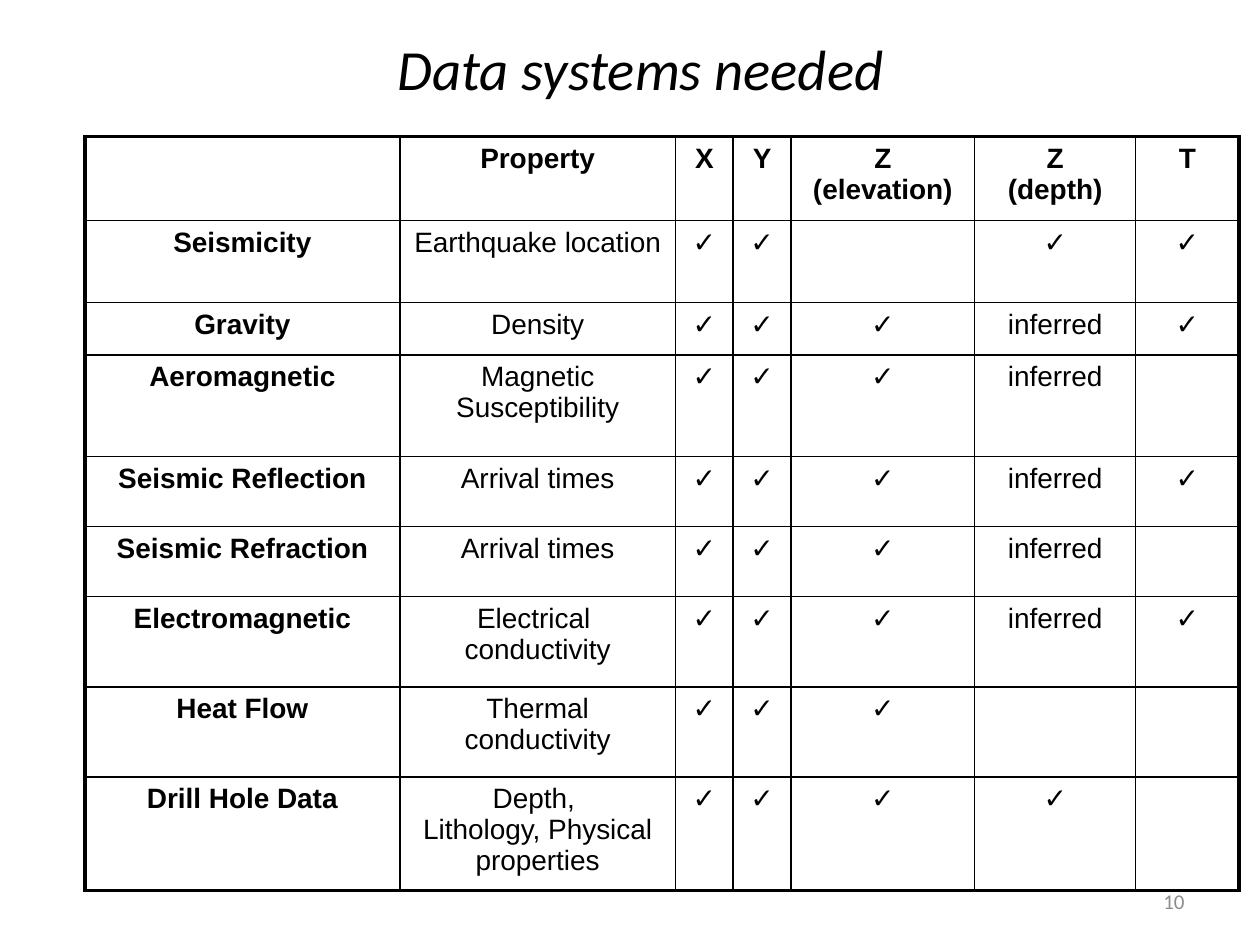
from dataclasses import dataclass

from lxml.etree import SubElement
from pptx import Presentation
from pptx.dml.color import RGBColor
from pptx.enum.text import MSO_ANCHOR as Anchor, PP_ALIGN as Align
from pptx.oxml.ns import qn
from pptx.slide import Slide
from pptx.table import _Cell as Cell
from pptx.util import Pt

COLORS = {"ink": "000000", "page_number": "8C8C8C"}
CHECK = "✓"
INNER_WIDTH, OUTER_WIDTH = 1, 2.25
COLUMN_WIDTHS = [180, 157.5, 33, 33, 105, 92, 59]
HEADER = ["", "Property", "X", "Y", "Z\n(elevation)", "Z\n(depth)", "T"]


@dataclass
class Label:
    text: str
    left: float
    top: float
    width: float
    height: float
    size: float
    color: str
    align: Align
    italic: bool = False


@dataclass
class DataSystem:
    name: str
    measured: str
    height: float
    elevation: str = CHECK
    depth: str = "inferred"
    time: str = ""

    def cells(self) -> list[str]:
        """Return the texts of this system's table row."""
        return [self.name, self.measured, CHECK, CHECK, self.elevation, self.depth, self.time]


LABELS = [
    Label("Data systems needed", 60, 24, 612, 30, 32.4, "ink", Align.CENTER, True),
    Label("10", 516, 500.5, 168, 28.5, 12, "page_number", Align.RIGHT),
]
HEADER_HEIGHT = 48
SYSTEMS = [
    DataSystem("Seismicity", "Earthquake location", 47, "", CHECK, CHECK),
    DataSystem("Gravity", "Density", 30, time=CHECK),
    DataSystem("Aeromagnetic", "Magnetic\nSusceptibility", 58),
    DataSystem("Seismic Reflection", "Arrival times", 40, time=CHECK),
    DataSystem("Seismic Refraction", "Arrival times", 40),
    DataSystem("Electromagnetic", "Electrical \nconductivity", 51.5, time=CHECK),
    DataSystem("Heat Flow", "Thermal\nconductivity", 51.5, depth=""),
    DataSystem("Drill Hole Data", "Depth, \nLithology, Physical properties", 65, depth=CHECK),
]


def color_of(name: str) -> RGBColor:
    """Look up a named colour."""
    return RGBColor.from_string(COLORS[name])


def add_label(slide: Slide, label: Label) -> None:
    """Add one line of text in its own box."""
    shape = slide.shapes.add_textbox(
        Pt(label.left), Pt(label.top), Pt(label.width), Pt(label.height)
    )
    text_frame = shape.text_frame
    text_frame.word_wrap = True
    text_frame.vertical_anchor = Anchor.MIDDLE
    text_frame.text = label.text
    paragraph = text_frame.paragraphs[0]
    paragraph.alignment = label.align
    font = paragraph.runs[0].font
    font.name, font.size, font.italic = "Calibri", Pt(label.size), label.italic
    font.color.rgb = color_of(label.color)


def set_borders(cell: Cell, outer_sides: dict[str, bool]) -> None:
    """Draw the four cell borders, thicker on the table's outer sides."""
    properties = cell._tc.get_or_add_tcPr()
    for side, is_outer in outer_sides.items():
        width = Pt(OUTER_WIDTH if is_outer else INNER_WIDTH)
        line = SubElement(properties, qn(f"a:ln{side}"), w=str(width))
        fill = SubElement(line, qn("a:solidFill"))
        SubElement(fill, qn("a:srgbClr"), val=COLORS["ink"])


def fill_cell(cell: Cell, text: str, bold: bool) -> None:
    """Write centred text into an unfilled cell."""
    cell.fill.background()
    cell.text_frame.text = text
    for paragraph in cell.text_frame.paragraphs:
        paragraph.alignment = Align.CENTER
        for run in paragraph.runs:
            run.font.name, run.font.size, run.font.bold = "Arial", Pt(16), bold
            run.font.color.rgb = color_of("ink")


def add_systems_table(slide: Slide) -> None:
    """Add the table of data systems and their coordinates."""
    rows = [HEADER] + [system.cells() for system in SYSTEMS]
    heights = [HEADER_HEIGHT] + [system.height for system in SYSTEMS]
    last_row, last_column = len(rows) - 1, len(HEADER) - 1
    table = slide.shapes.add_table(
        len(rows), len(HEADER), Pt(48.5), Pt(78), Pt(sum(COLUMN_WIDTHS)), Pt(sum(heights))
    ).table
    table.horz_banding = False
    for column, width in zip(table.columns, COLUMN_WIDTHS):
        column.width = Pt(width)
    for i, (texts, height) in enumerate(zip(rows, heights)):
        table.rows[i].height = Pt(height)
        for j, text in enumerate(texts):
            cell = table.cell(i, j)
            set_borders(
                cell,
                {"L": j == 0, "R": j == last_column, "T": i == 0, "B": i == last_row},
            )
            fill_cell(cell, text, bold=i == 0 or j == 0)


def main() -> None:
    """Build and save the slide."""
    presentation = Presentation()
    presentation.slide_width, presentation.slide_height = Pt(720), Pt(540)
    slide = presentation.slides.add_slide(presentation.slide_layouts[6])
    add_systems_table(slide)
    for label in LABELS:
        add_label(slide, label)
    presentation.save("out.pptx")


if __name__ == "__main__":
    main()
